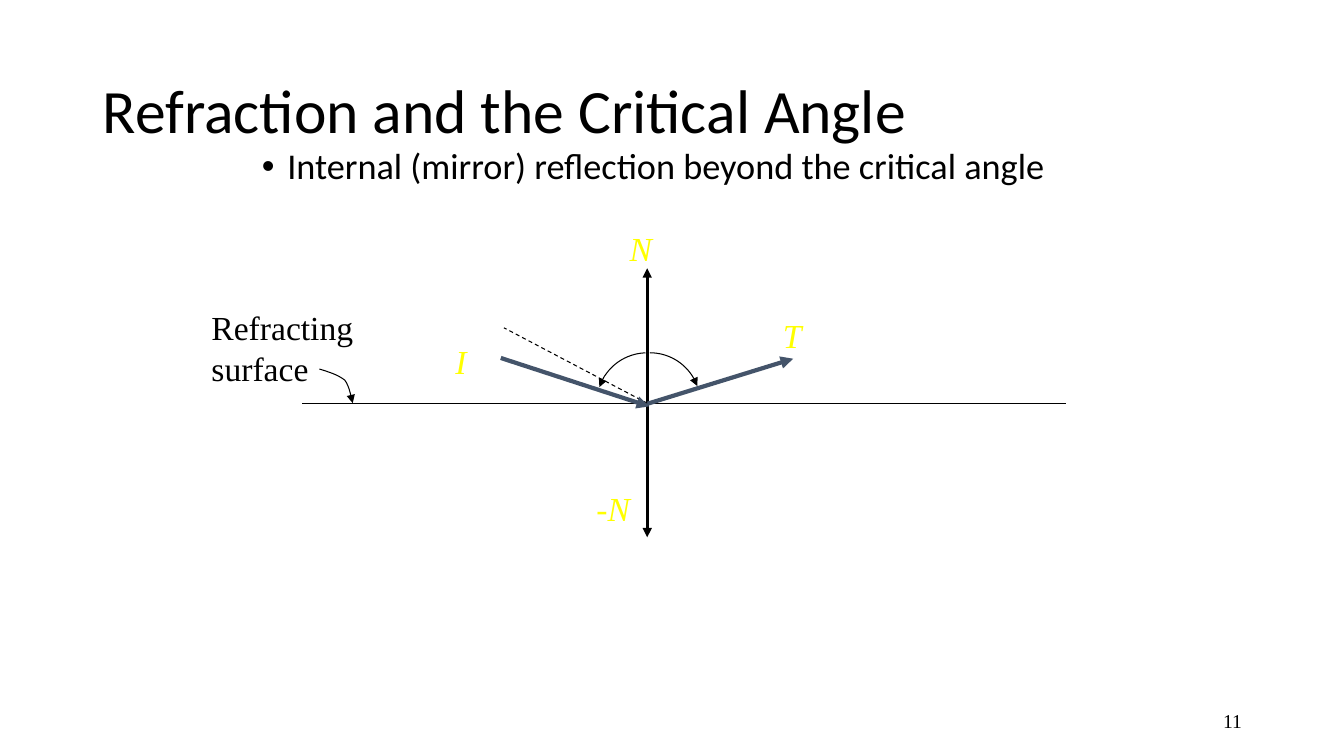
from lxml.etree import SubElement
from pptx import Presentation
from pptx.dml.color import RGBColor
from pptx.enum.dml import MSO_LINE as Dash
from pptx.enum.shapes import MSO_CONNECTOR as Link, MSO_SHAPE as Kind
from pptx.enum.text import MSO_ANCHOR as Anchor, MSO_AUTO_SIZE as Auto, PP_ALIGN as Align
from pptx.oxml.ns import qn
from pptx.util import Cm, Pt


def color(code):
    return RGBColor.from_string(code)


def bend(a, b, c, d, steps=8):
    for n in range(1, steps + 1):
        t = n / steps
        u = 1 - t
        yield tuple(u**3 * p + 3 * u * u * t * q + 3 * u * t * t * r + t**3 * s
                    for p, q, r, s in zip(a, b, c, d))


class Board:
    sans, serif = "Calibri", "Times New Roman"
    black, slate, yellow = "000000", "44546A", "FFFF00"

    def __init__(self, slide):
        self.shapes = slide.shapes

    def text(self, box, lines, size, font, tint=black, wrap=True,
             anchor=Anchor.TOP, align=Align.LEFT, space=1.0, bullet=False):
        frame = self.shapes.add_textbox(*map(Cm, box)).text_frame
        frame.word_wrap = wrap
        frame.auto_size = Auto.NONE if wrap else Auto.SHAPE_TO_FIT_TEXT
        frame.vertical_anchor = anchor
        for i, runs in enumerate(lines):
            para = frame.add_paragraph() if i else frame.paragraphs[0]
            para.alignment = align
            para.line_spacing = space
            if bullet:
                props = para._p.get_or_add_pPr()
                props.set("marL", str(Cm(0.64)))
                props.set("indent", str(-Cm(0.64)))
                SubElement(props, qn("a:buFont"), typeface="Arial")
                SubElement(props, qn("a:buChar"), char="•")
            for words, slant in runs:
                run = para.add_run()
                run.text = words
                run.font.size = Pt(size)
                run.font.name = font
                run.font.italic = slant
                run.font.color.rgb = color(tint)

    def label(self, box, lines, tint=yellow):
        self.text(box, lines, 24, self.serif, tint, wrap=False)

    def stroke(self, shape, tint=black, width=0.75, end=None, dash=None):
        shape.line.color.rgb = color(tint)
        shape.line.width = Pt(width)
        if dash:
            shape.line.dash_style = dash
        if end:
            SubElement(shape.element.spPr.find(qn("a:ln")), qn(f"a:{end}End"), type="triangle")

    def line(self, start, stop, **style):
        link = self.shapes.add_connector(Link.STRAIGHT, *map(Cm, start + stop))
        self.stroke(link, **style)
        SubElement(link.element.spPr, qn("a:effectLst"))

    def curve(self, start, parts, **style):
        pen = self.shapes.build_freeform(*map(Cm, start))
        for part in parts:
            pen.add_line_segments([(Cm(x), Cm(y)) for x, y in bend(start, *part)], close=False)
            start = part[-1]
        shape = pen.convert_to_shape()
        shape.fill.background()
        shape.shadow.inherit = False
        self.stroke(shape, **style)

    def arc(self, left, sweep, turn=0, **style):
        shape = self.shapes.add_shape(Kind.ARC, Cm(left), Cm(8.89), Cm(2.54), Cm(2.54))
        shape.adjustments[0], shape.adjustments[1] = sweep
        shape.rotation = turn
        shape.fill.background()
        shape.shadow.inherit = False
        self.stroke(shape, **style)


def main():
    deck = Presentation()
    deck.slide_width, deck.slide_height = Cm(33.87), Cm(19.05)
    board = Board(deck.slides.add_slide(deck.slide_layouts[6]))
    hit = (16.31, 10.16)

    board.text((2.34, 1.02, 29.21, 3.68), [[("Refraction and the Critical Angle", False)]],
               44, board.sans, anchor=Anchor.MIDDLE, space=0.9)
    board.text((6.35, 3.61, 21.59, 1.47),
               [[("Internal (mirror) reflection beyond the critical angle", False)]],
               25.9, board.sans, space=0.9, bullet=True)

    board.curve((8.05, 9.3), [((8.28, 9.37), (8.53, 9.45), (8.69, 9.58)),
                              ((8.81, 9.73), (8.86, 10.06), (8.89, 10.16))], end="tail")
    board.line((7.62, 10.16), (26.87, 10.16))
    board.label((5.08, 7.62, 4.32, 2.31), [[("Refracting", False)], [("surface", False)]],
                board.black)

    for tip in (6.76, 13.54):
        board.line(hit, (16.31, tip), width=2.25, end="tail")
    for left, top, width, runs in [
        (15.62, 5.61, 1.12, [("N", True)]),
        (14.78, 12.17, 1.4, [("-", False), ("N", True)]),
        (11.23, 8.46, 0.79, [("I", True)]),
        (19.48, 7.82, 1.02, [("T", True)]),
    ]:
        board.label((left, top, width, 1.27), [runs])

    board.line((16.2, 10.21), (19.99, 9.04), tint=board.slate, width=3, end="tail")
    board.line(hit, (12.7, 8.26), dash=Dash.DASH)
    board.line((12.62, 9.02), (16.36, 10.24), tint=board.slate, width=3, end="tail")
    board.text((23.93, 17.65, 7.62, 1.02), [[("11", False)]], 14, board.serif,
               anchor=Anchor.MIDDLE, align=Align.RIGHT)

    board.arc(15.04, (151.05, 192.76), turn=306.9, end="head")
    board.arc(15.11, (162, 204.11), end="tail")
    deck.save("out.pptx")


if __name__ == "__main__":
    main()
